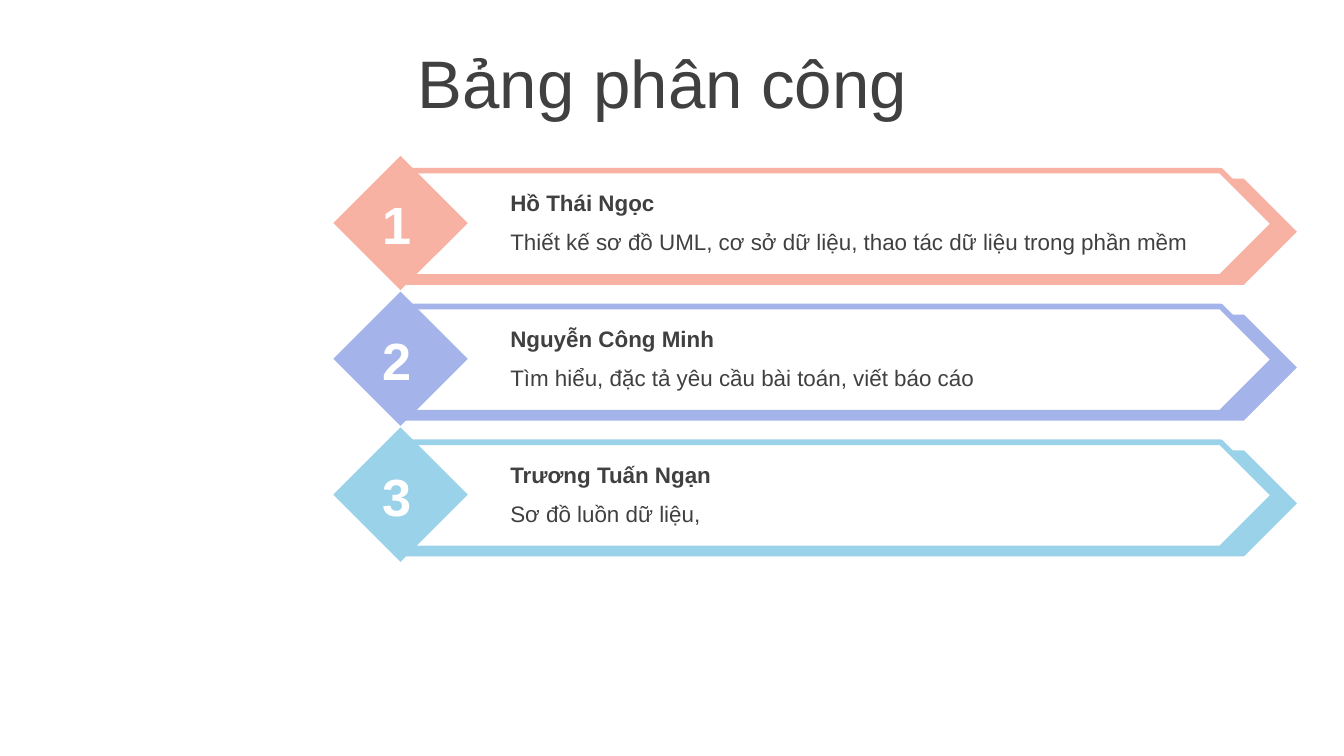
from dataclasses import dataclass

from pptx import Presentation
from pptx.dml.color import RGBColor
from pptx.enum.shapes import MSO_SHAPE
from pptx.enum.text import MSO_ANCHOR, MSO_AUTO_SIZE, PP_ALIGN
from pptx.util import Inches, Pt

FONT = "Arial"
INK = "404040"
WHITE = "FFFFFF"
ROW_TOP, ROW_PITCH, ROW_HEIGHT = 20.62, 17.96, 17.78

ASSIGNMENTS = [
    ("Hồ Thái Ngọc",
     "Thiết kế sơ đồ UML, cơ sở dữ liệu, thao tác dữ liệu trong phần mềm",
     "F8B2A3", 76.3),
    ("Nguyễn Công Minh",
     "Tìm hiểu, đặc tả yêu cầu bài toán, viết báo cáo",
     "A4B4EA", 72.5),
    ("Trương Tuấn Ngạn", "Sơ đồ luồn dữ liệu,", "9AD3E9", 72.5),
]


@dataclass
class Box:
    """A rectangle in EMU whose inner boxes are given in percent of its size."""
    left: int
    top: int
    width: int
    height: int

    def inner(self, x, y, width, height):
        """Return the box lying at these percentages."""
        return Box(self.left + round(self.width * x / 100),
                   self.top + round(self.height * y / 100),
                   round(self.width * width / 100),
                   round(self.height * height / 100))

    def bounds(self):
        """Return left, top, width and height."""
        return self.left, self.top, self.width, self.height


def color(code):
    """Turn a hex string into a colour."""
    return RGBColor.from_string(code)


def add_block(shapes, preset, box, fill, outline=None):
    """Add a flat preset shape with an optional outline."""
    block = shapes.add_shape(preset, *box.bounds())
    block.shadow.inherit = False
    block.fill.solid()
    block.fill.fore_color.rgb = color(fill)
    if outline:
        block.line.color.rgb = color(outline)
        block.line.width = Pt(3)
    else:
        block.line.fill.background()


def add_label(shapes, box, wording, size, ink=INK, bold=False,
              align=PP_ALIGN.LEFT, anchor=MSO_ANCHOR.TOP,
              fit=MSO_AUTO_SIZE.SHAPE_TO_FIT_TEXT):
    """Add one wrapped line of text."""
    label = shapes.add_textbox(*box.bounds()).text_frame
    label.word_wrap = True
    label.auto_size = fit
    label.vertical_anchor = anchor
    line = label.paragraphs[0]
    line.text = wording
    line.alignment = align
    line.font.name = FONT
    line.font.size = Pt(size)
    line.font.bold = bold
    line.font.color.rgb = color(ink)


def add_title(slide, box):
    """Place the centred heading."""
    add_label(slide.shapes, box, "Bảng phân công ", 36,
              align=PP_ALIGN.CENTER, anchor=MSO_ANCHOR.MIDDLE,
              fit=MSO_AUTO_SIZE.NONE)


def add_assignment(slide, box, number, member, task, accent, caption_width):
    """Place one numbered arrow banner with a member and a task."""
    banner = slide.shapes.add_group_shape().shapes
    add_block(banner, MSO_SHAPE.PENTAGON, box.inner(7.4, 17, 92.6, 79), accent)
    add_block(banner, MSO_SHAPE.PENTAGON, box.inner(7.4, 11, 90.2, 79),
              WHITE, accent)
    add_block(banner, MSO_SHAPE.DIAMOND, box.inner(0, 0, 13.95, 100), accent)

    add_label(slide.shapes, box.inner(3.6, 22, 6.1, 57), f"{number} ", 28,
              WHITE, True, PP_ALIGN.CENTER, MSO_ANCHOR.MIDDLE)

    caption = slide.shapes.add_group_shape().shapes
    add_label(caption, box.inner(17, 20, caption_width, 30), member, 12,
              bold=True)
    add_label(caption, box.inner(17, 49, caption_width, 30), task, 12)


def main():
    """Build and save the assignment slide."""
    deck = Presentation()
    deck.slide_width = Inches(10)
    deck.slide_height = deck.slide_width * 9 // 16
    slide = deck.slides.add_slide(deck.slide_layouts[6])
    page = Box(0, 0, deck.slide_width, deck.slide_height)

    add_title(slide, page.inner(0, 5.16, 100, 11.2))
    for index, assignment in enumerate(ASSIGNMENTS):
        row = page.inner(24.8, ROW_TOP + index * ROW_PITCH, 71.7, ROW_HEIGHT)
        add_assignment(slide, row, index + 1, *assignment)
    deck.save("out.pptx")


if __name__ == "__main__":
    main()
